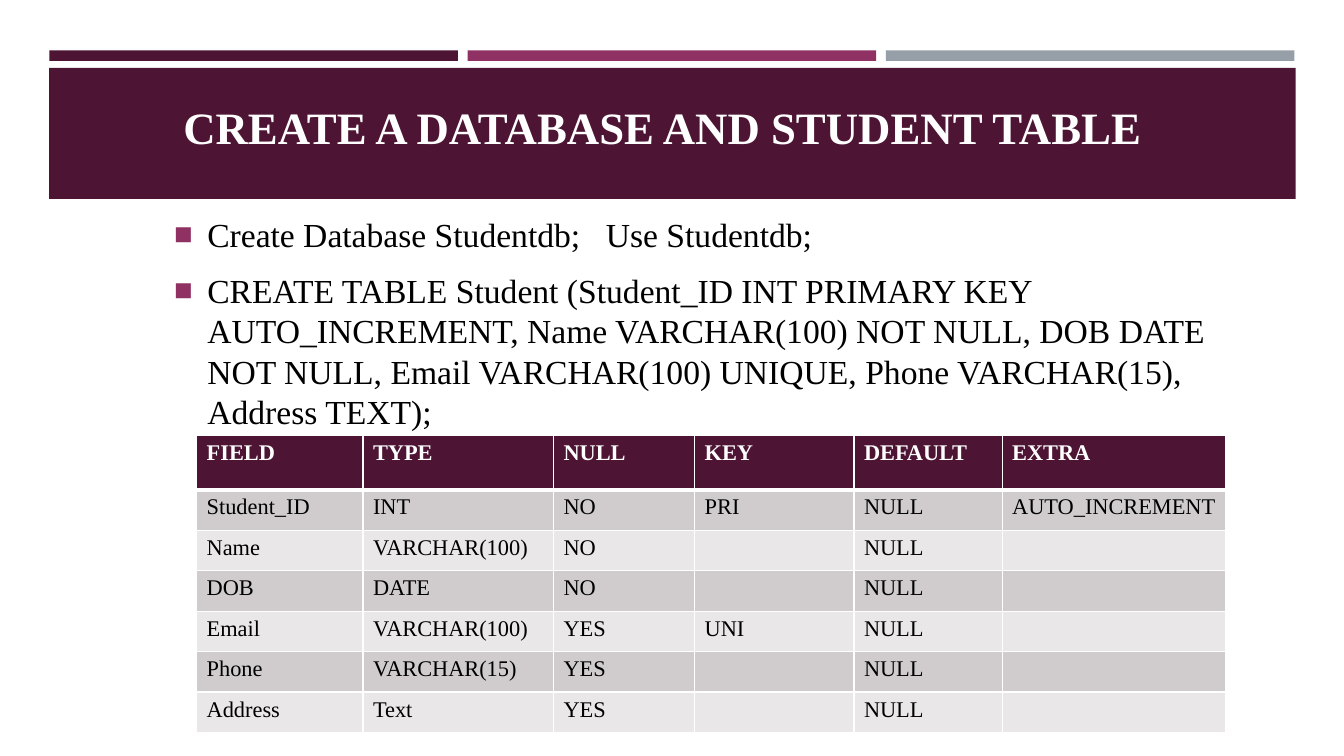
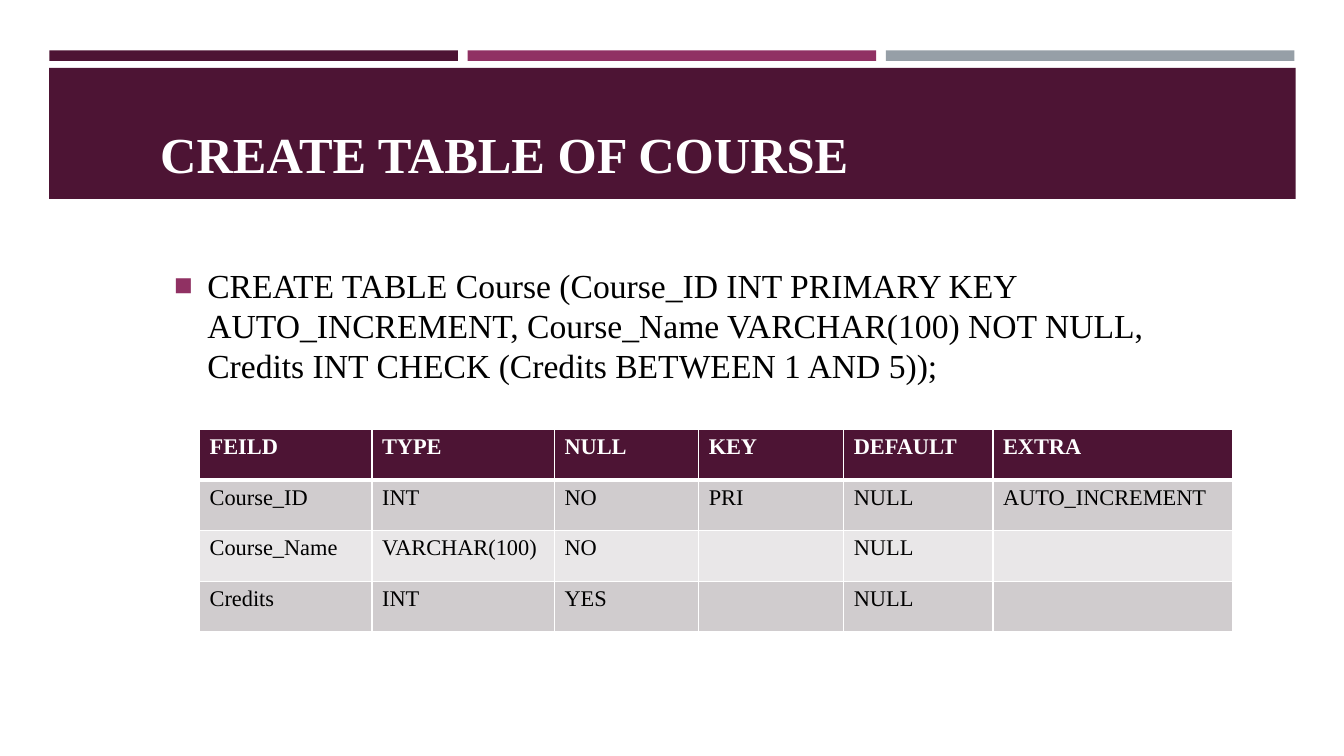
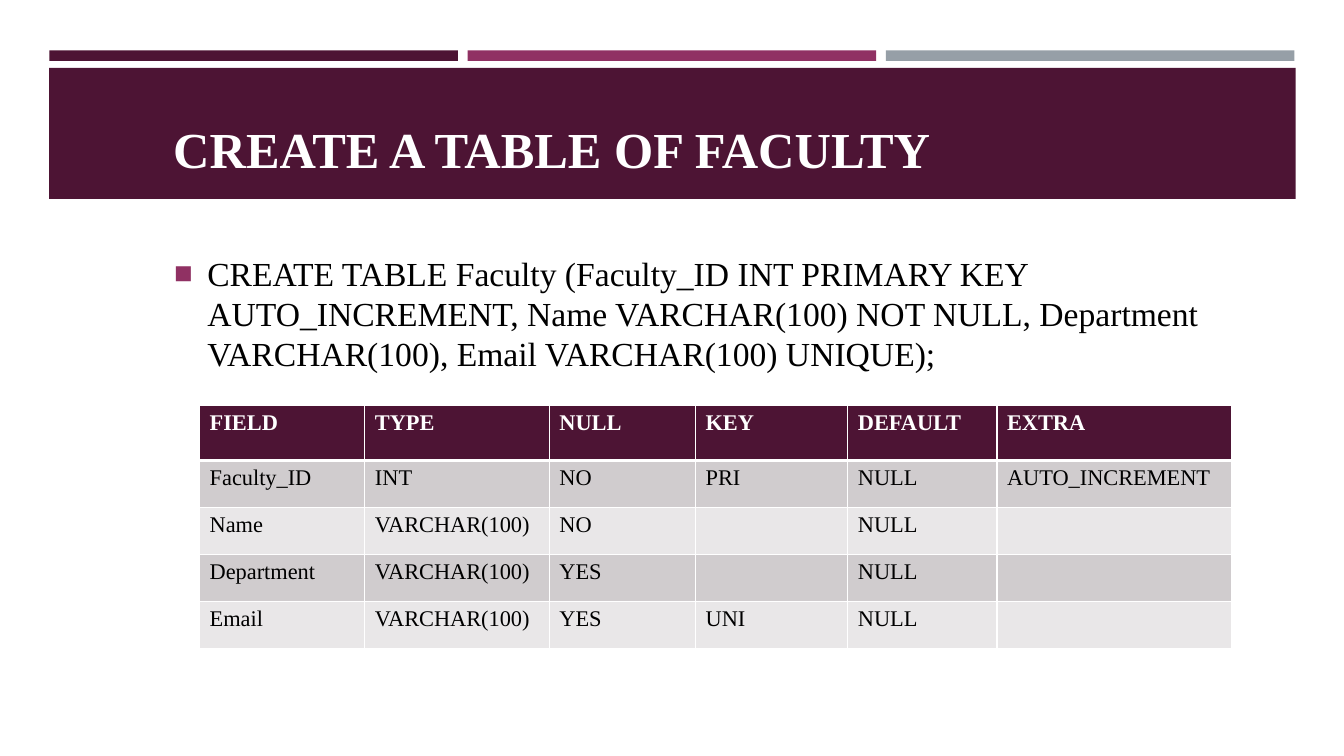
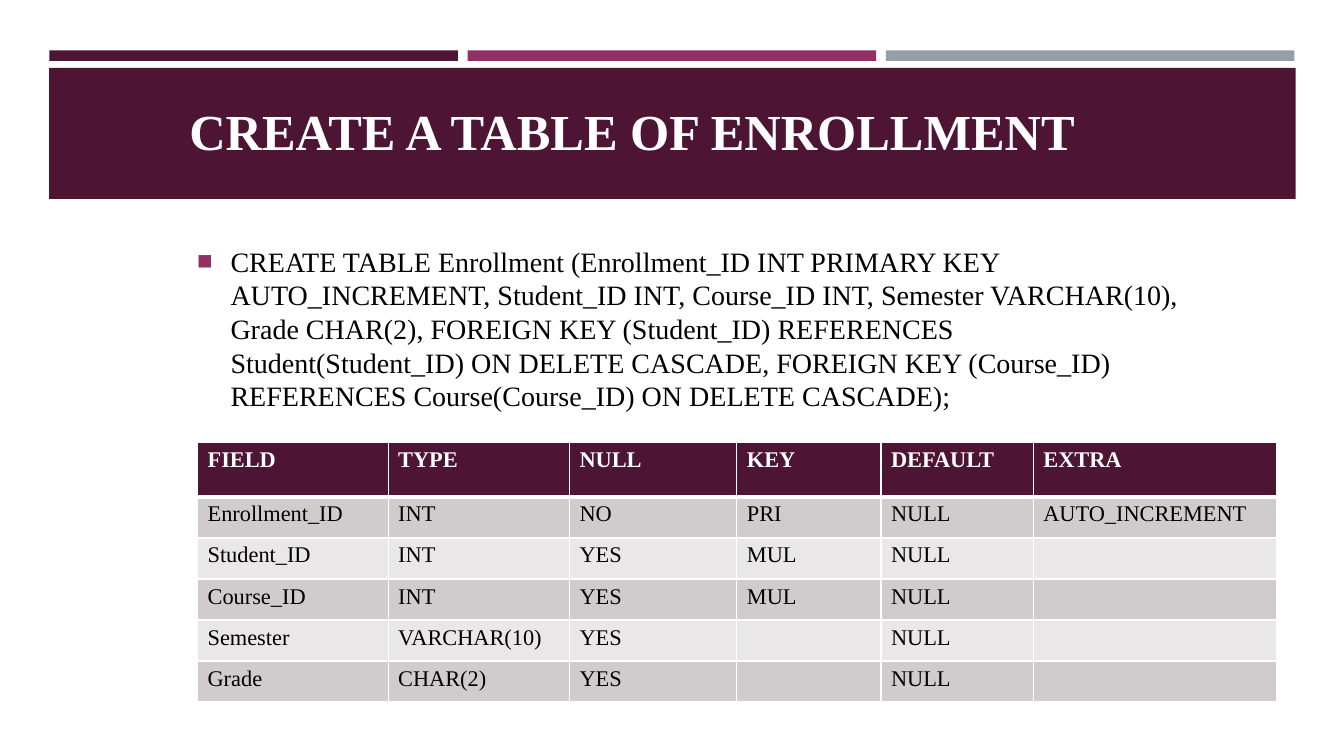
import pptx
import pptx.util
import pptx.dml.color
import pptx.enum.shapes
import pptx.enum.text
import pptx.oxml
import pptx.oxml.ns

WINE, PLUM, GREY = "4D1434", "903163", "969FA7"
WHITE, BLACK = "FFFFFF", "000000"
DARK, LIGHT = "D0CCCE", "E9E7E8"
FONT = "Times New Roman"
NS = pptx.oxml.ns.nsdecls("a")
HEAD = "FIELD TYPE NULL KEY DEFAULT EXTRA".split()
AUTO = "AUTO_INCREMENT"

deck = pptx.Presentation()
deck.slide_width = pptx.util.Inches(13.33)
deck.slide_height = pptx.util.Inches(7.5)
wide, high = deck.slide_width / 100, deck.slide_height / 100


def tint(code):
    return pptx.dml.color.RGBColor.from_string(code)


def place(x, y, w, h):
    return int(x * wide), int(y * high), int(w * wide), int(h * high)


def write(frame, text, size=16, color=BLACK, bold=False, bullet=False):
    for i, line in enumerate(text.split("\n")):
        para = frame.paragraphs[0] if i == 0 else frame.add_paragraph()
        for j, part in enumerate(line.split("\t")):
            for word in ([" "] if j else []) + [part]:
                run = para.add_run()
                run.text = word
                run.font.name = FONT
                run.font.size = pptx.util.Pt(size)
                run.font.bold = bold
                run.font.color.rgb = tint(color)
                if word == " ":
                    run.font._element.set("spc", "1200")
        if bullet:
            para.line_spacing = 1.0
            para.space_after = pptx.util.Pt(11)
            props = para._p.get_or_add_pPr()
            indent = pptx.util.Inches(0.33)
            props.set("marL", str(indent))
            props.set("indent", str(-indent))
            for mark in (
                f'<a:buClr {NS}><a:srgbClr val="{PLUM}"/></a:buClr>',
                f'<a:buSzPct {NS} val="92000"/>',
                f'<a:buFont {NS} typeface="{FONT}"/>',
                f'<a:buChar {NS} char="■"/>',
            ):
                props.append(pptx.oxml.parse_xml(mark))


pages = [
    dict(
        title="CREATE A DATABASE AND STUDENT TABLE", size=32,
        name=(12.9, 7.6, 82.9, 13.3),
        body="Create Database Studentdb;\tUse Studentdb;\n"
             "CREATE TABLE Student (Student_ID INT PRIMARY KEY AUTO_INCREMENT, "
             "Name VARCHAR(100) NOT NULL, DOB DATE NOT NULL, "
             "Email VARCHAR(100) UNIQUE, Phone VARCHAR(15), Address TEXT);",
        font=24, left=12.95, top=28.35, wide=78.8,
        grid=(14.63, 57.6), high=(7.2, 5.35),
        cols=(12.38, 14.18, 10.5, 11.85, 11.03, 16.65),
        rows=[
            HEAD,
            ["Student_ID", "INT", "NO", "PRI", "NULL", AUTO],
            ["Name", "VARCHAR(100)", "NO", "", "NULL", ""],
            ["DOB", "DATE", "NO", "", "NULL", ""],
            ["Email", "VARCHAR(100)", "YES", "UNI", "NULL", ""],
            ["Phone", "VARCHAR(15)", "YES", "", "NULL", ""],
            ["Address", "Text", "YES", "", "NULL", ""],
        ],
    ),
    dict(
        title="CREATE TABLE OF COURSE", size=36,
        name=(11.18, 11.87, 67.9, 13.07),
        body="CREATE TABLE Course (Course_ID INT PRIMARY KEY AUTO_INCREMENT, "
             "Course_Name VARCHAR(100) NOT NULL, "
             "Credits INT CHECK (Credits BETWEEN 1 AND 5));",
        font=24, left=12.95, top=35, wide=78.8,
        grid=(14.85, 56.8), high=(6.7, 6.7),
        cols=(12.83, 13.58, 10.73, 10.8, 11.1, 17.85),
        rows=[
            ["FEILD"] + HEAD[1:],
            ["Course_ID", "INT", "NO", "PRI", "NULL", AUTO],
            ["Course_Name", "VARCHAR(100)", "NO", "", "NULL", ""],
            ["Credits", "INT", "YES", "", "NULL", ""],
        ],
    ),
    dict(
        title="CREATE A TABLE OF FACULTY", size=36,
        name=(12.15, 10, 61.5, 14.27),
        body="CREATE TABLE Faculty (Faculty_ID INT PRIMARY KEY AUTO_INCREMENT, "
             "Name VARCHAR(100) NOT NULL, Department VARCHAR(100), "
             "Email VARCHAR(100) UNIQUE);",
        font=24, left=12.95, top=33.4, wide=78.8,
        grid=(14.85, 53.6), high=(7.3, 6.23),
        cols=(12.3, 13.73, 10.88, 11.33, 11.1, 17.48),
        rows=[
            HEAD,
            ["Faculty_ID", "INT", "NO", "PRI", "NULL", AUTO],
            ["Name", "VARCHAR(100)", "NO", "", "NULL", ""],
            ["Department", "VARCHAR(100)", "YES", "", "NULL", ""],
            ["Email", "VARCHAR(100)", "YES", "UNI", "NULL", ""],
        ],
    ),
    dict(
        title="CREATE A TABLE OF ENROLLMENT", size=36,
        name=(13.35, 10.67, 69, 11.2),
        body="CREATE TABLE Enrollment (Enrollment_ID INT PRIMARY KEY "
             "AUTO_INCREMENT, Student_ID INT, Course_ID INT, "
             "Semester VARCHAR(10), Grade CHAR(2), "
             "FOREIGN KEY (Student_ID) REFERENCES Student(Student_ID) "
             "ON DELETE CASCADE, FOREIGN KEY (Course_ID) REFERENCES "
             "Course(Course_ID) ON DELETE CASCADE);",
        font=20, left=14.68, top=32.3, wide=73.2,
        grid=(14.7, 58.53), high=(7.2, 5.43),
        cols=(14.18, 13.5, 12.45, 10.73, 11.33, 18.08),
        rows=[
            HEAD,
            ["Enrollment_ID", "INT", "NO", "PRI", "NULL", AUTO],
            ["Student_ID", "INT", "YES", "MUL", "NULL", ""],
            ["Course_ID", "INT", "YES", "MUL", "NULL", ""],
            ["Semester", "VARCHAR(10)", "YES", "", "NULL", ""],
            ["Grade", "CHAR(2)", "YES", "", "NULL", ""],
        ],
    ),
]

bands = [(3.67 + 31.12 * i, 6.67, 30.4, 1.4, fill)
         for i, fill in enumerate((WINE, PLUM, GREY))]
bands.append((3.65, 8.97, 92.75, 17.33, WINE))

for page in pages:
    slide = deck.slides.add_slide(deck.slide_layouts[6])
    for *box, fill in bands:
        band = slide.shapes.add_shape(
            pptx.enum.shapes.MSO_SHAPE.RECTANGLE, *place(*box))
        band.shadow.inherit = False
        band.fill.solid()
        band.fill.fore_color.rgb = tint(fill)
        band.line.fill.background()

    title = slide.shapes.add_textbox(*place(*page["name"])).text_frame
    title.word_wrap = True
    title.vertical_anchor = pptx.enum.text.MSO_ANCHOR.BOTTOM
    write(title, page["title"], size=page["size"], color=WHITE, bold=True)

    x, y = page["grid"]
    body = slide.shapes.add_textbox(
        *place(page["left"], page["top"], page["wide"], y - page["top"])
    ).text_frame
    body.word_wrap = True
    body.margin_left = body.margin_right = 0
    body.margin_top = body.margin_bottom = 0
    write(body, page["body"], size=page["font"], bullet=True)

    rows, cols = page["rows"], page["cols"]
    first, rest = page["high"]
    tall = first + rest * (len(rows) - 1)
    table = slide.shapes.add_table(
        len(rows), len(cols), *place(x, y, sum(cols), tall)).table
    for i, share in enumerate(cols):
        table.columns[i].width = int(share * wide)
    for r, row in enumerate(rows):
        table.rows[r].height = int((rest if r else first) * high)
        for c, text in enumerate(row):
            cell = table.cell(r, c)
            props = cell._tc.get_or_add_tcPr()
            for side in "LRTB":
                thick = (r, side) in ((0, "B"), (1, "T"))
                edge = pptx.util.Pt(3 if thick else 1)
                props.append(pptx.oxml.parse_xml(
                    f'<a:ln{side} {NS} w="{edge}"><a:solidFill>'
                    f'<a:srgbClr val="{WHITE}"/></a:solidFill></a:ln{side}>'))
            cell.fill.solid()
            cell.fill.fore_color.rgb = tint(
                WINE if r == 0 else DARK if r % 2 else LIGHT)
            if text:
                write(cell.text_frame, text,
                      color=BLACK if r else WHITE, bold=r == 0)

deck.save("out.pptx")
